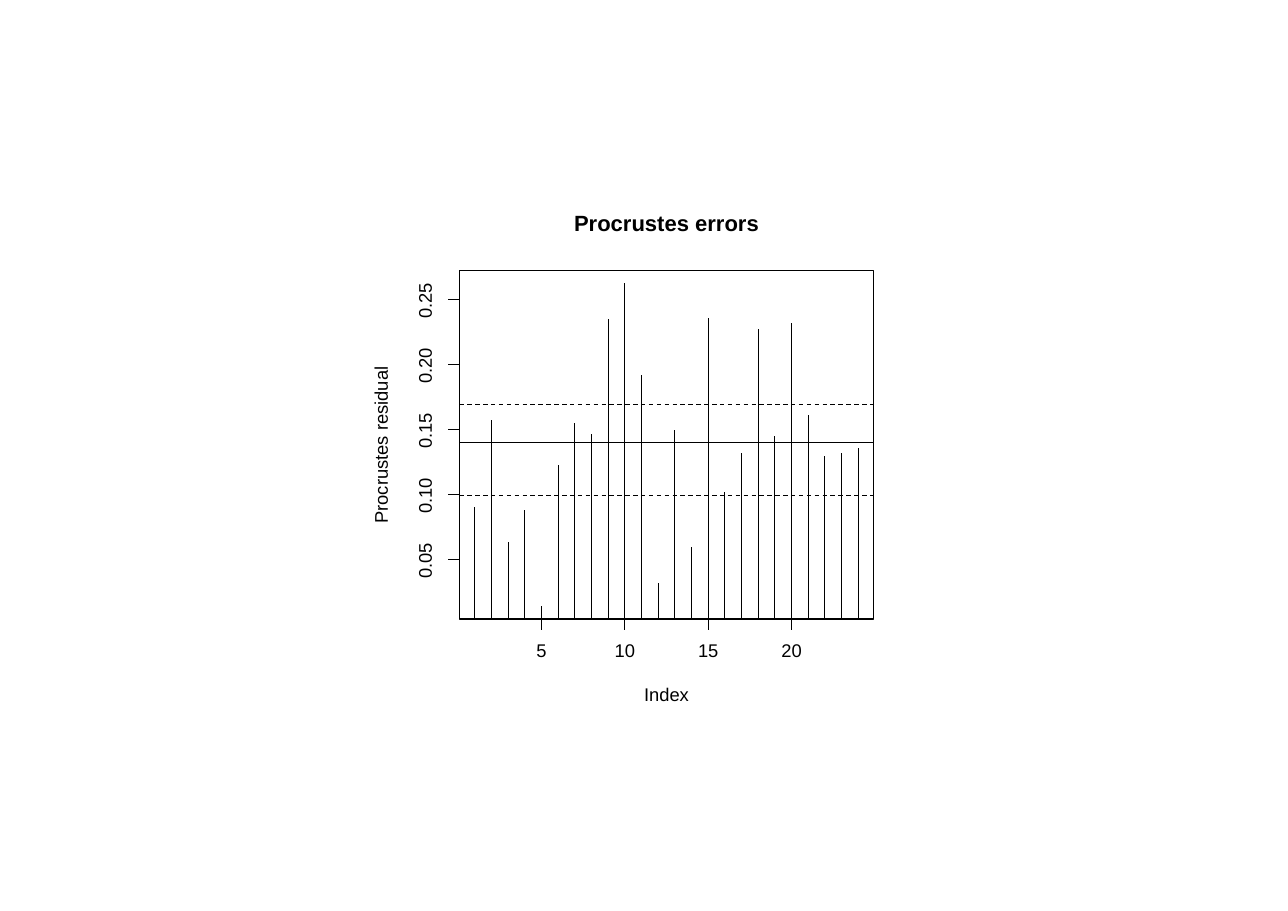
"""Draw the residual plot of a Procrustes fit."""
from dataclasses import dataclass

from pptx import Presentation
from pptx import slide as sl
from pptx import util as u
from pptx.dml.color import RGBColor
from pptx.enum import dml, shapes, text
from pptx.oxml.ns import qn
from pptx.shapes import autoshape, base
from lxml import etree

BLACK = RGBColor(0x00, 0x00, 0x00)
WHITE = RGBColor(0xFF, 0xFF, 0xFF)
LEFT, TOP, RIGHT, BASE = 4.17, 2.46, 7.93, 5.62
MID = (LEFT + RIGHT) / 2
FIRST, LAST = 4.31, 7.79
TICK = 0.1
LOW, STEP = 5.08, 0.59
STICKS = [
    4.6, 3.81, 4.92, 4.63, 5.5, 4.22, 3.84, 3.94, 2.9, 2.57, 3.4, 5.29,
    3.9, 4.97, 2.89, 4.47, 4.11, 2.99, 3.96, 2.93, 3.77, 4.14, 4.11, 4.07,
]
GAP = (LAST - FIRST) / (len(STICKS) - 1)


@dataclass
class Line:
    """A straight line between two points."""
    x1: float
    y1: float
    x2: float
    y2: float
    dash: bool = False


@dataclass
class Label:
    """A line of text centred on a point."""
    words: str
    x: float
    y: float
    width: float
    turn: int = 0
    size: float = 12
    bold: bool = False


def index_x(index: int) -> float:
    """Return the place of an index on the x axis."""
    return FIRST + (index - 1) * GAP


def draw_line(slide: sl.Slide, line: Line) -> None:
    """Add one thin black line."""
    ends = [u.Inches(n) for n in (line.x1, line.y1, line.x2, line.y2)]
    link = slide.shapes.add_connector(shapes.MSO_CONNECTOR.STRAIGHT, *ends)
    link.line.color.rgb = BLACK
    link.line.width = u.Pt(0.75)
    if line.dash:
        link.line.dash_style = dml.MSO_LINE.DASH
    props = link.element.find(qn("p:spPr"))
    etree.SubElement(props, qn("a:effectLst"))


def draw_box(slide: sl.Slide, left: float, top: float, width: float,
             height: float, color: RGBColor) -> autoshape.Shape:
    """Add an unfilled rectangle with a thin edge."""
    box = slide.shapes.add_shape(
        shapes.MSO_SHAPE.RECTANGLE, u.Inches(left), u.Inches(top),
        u.Inches(width), u.Inches(height))
    box.shadow.inherit = False
    box.fill.background()
    box.line.color.rgb = color
    box.line.width = u.Pt(0.75)
    return box


def set_label(shape: base.BaseShape, label: Label) -> None:
    """Place a text shape and format its words."""
    height = label.size / 100
    shape.left = u.Inches(label.x - label.width / 2)
    shape.top = u.Inches(label.y - height / 2)
    shape.width, shape.height = u.Inches(label.width), u.Inches(height)
    shape.rotation = label.turn
    frame = shape.text_frame
    frame.text = label.words
    frame.word_wrap = False
    frame.auto_size = text.MSO_AUTO_SIZE.NONE
    frame.vertical_anchor = text.MSO_ANCHOR.MIDDLE
    frame.margin_left = frame.margin_right = 0
    frame.margin_top = frame.margin_bottom = 0
    para = frame.paragraphs[0]
    para.alignment = text.PP_ALIGN.CENTER
    para.line_spacing = u.Pt(label.size)
    para.space_before = u.Pt(0)
    para.font.name = "Arial"
    para.font.size = u.Pt(label.size)
    para.font.bold = label.bold
    para.font.color.rgb = BLACK


def main() -> None:
    """Build the slide and save it."""
    deck = Presentation()
    deck.slide_width, deck.slide_height = u.Inches(11.69), u.Inches(8.27)
    slide = deck.slides.add_slide(deck.slide_layouts[5])

    title = slide.shapes.title
    set_label(title, Label("Procrustes errors", MID, 2.04, 1.68,
                           size=14.4, bold=True))
    panel = draw_box(slide, 3.35, 1.64, 5, 5, WHITE)
    panel.fill.solid()
    panel.fill.fore_color.rgb = WHITE
    title.element.addprevious(panel.element)

    marks = range(5, 25, 5)
    lines = [Line(index_x(i), BASE, index_x(i), top)
             for i, top in enumerate(STICKS, 1)]
    lines.append(Line(index_x(marks[0]), BASE, index_x(marks[-1]), BASE))
    lines.append(Line(LEFT, LOW, LEFT, LOW - 4 * STEP))
    labels = [
        Label("Index", MID, 6.32, 0.41),
        Label("Procrustes residual", 3.47, 4.04, 1.43, 270),
    ]
    for mark in marks:
        x = index_x(mark)
        lines.append(Line(x, BASE, x, BASE + TICK))
        labels.append(Label(str(mark), x, 5.92, 0.09 * len(str(mark))))
    for step in range(5):
        y = LOW - step * STEP
        lines.append(Line(LEFT, y, LEFT - TICK, y))
        labels.append(
            Label(f"{0.05 * (step + 1):.2f}", 3.87, y + 0.01, 0.32, 270))
    for y, dash in ((4.5, True), (4.02, False), (3.67, True)):
        lines.append(Line(LEFT, y, RIGHT, y, dash))

    for line in lines:
        draw_line(slide, line)
    draw_box(slide, LEFT, TOP, RIGHT - LEFT, BASE - TOP, BLACK)
    for label in labels:
        set_label(slide.shapes.add_textbox(0, 0, 0, 0), label)

    deck.save("out.pptx")


if __name__ == "__main__":
    main()
